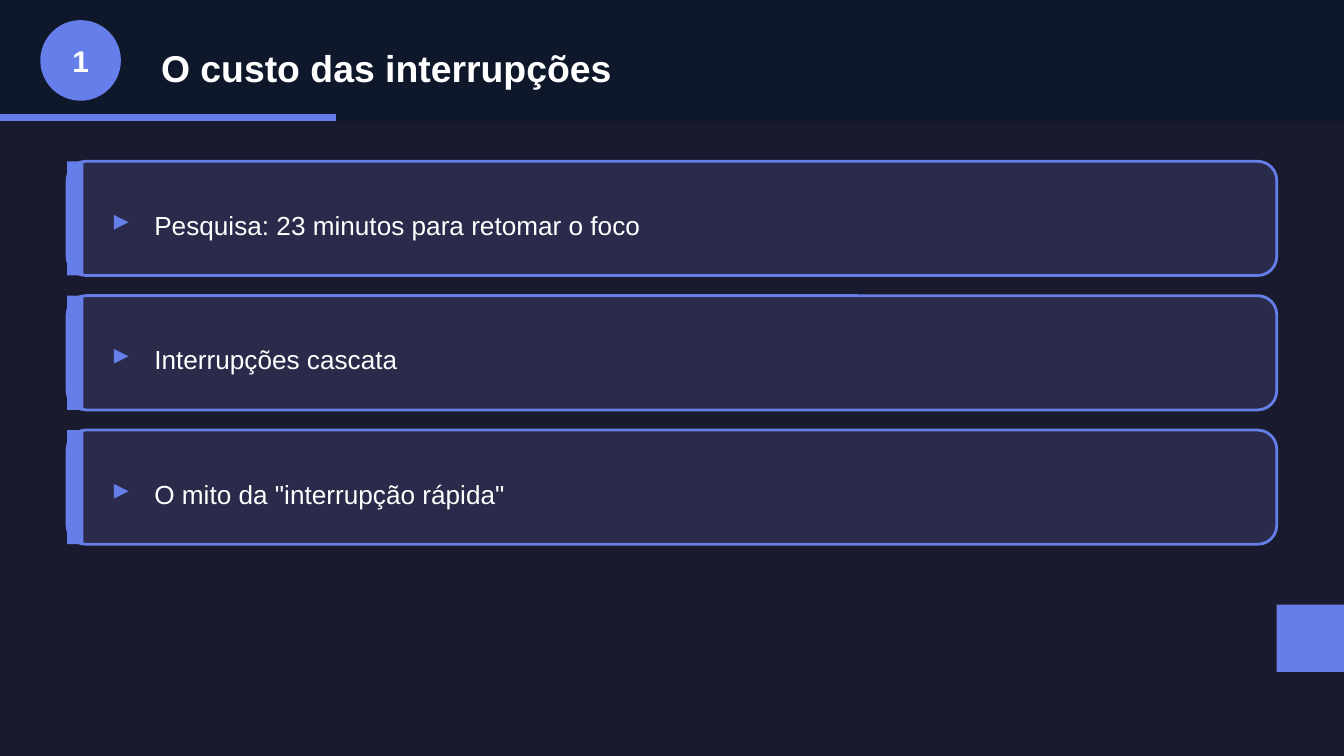
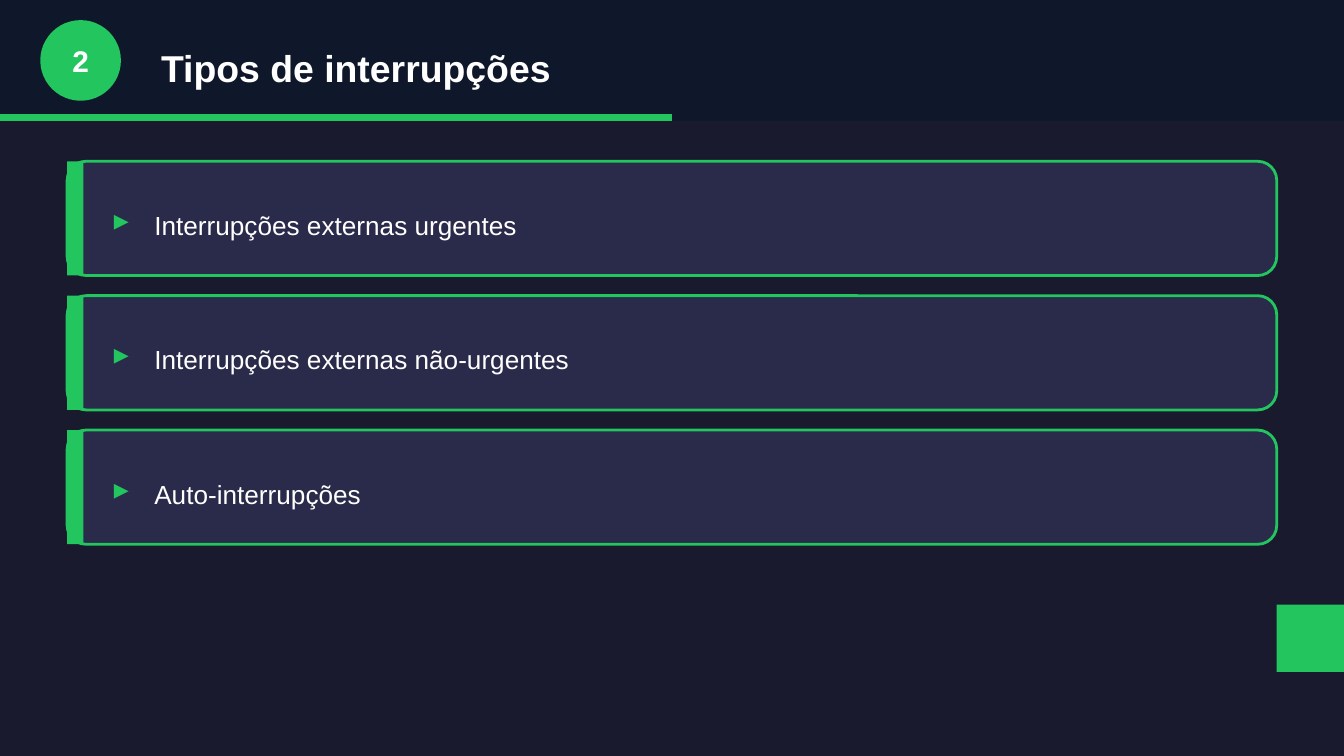
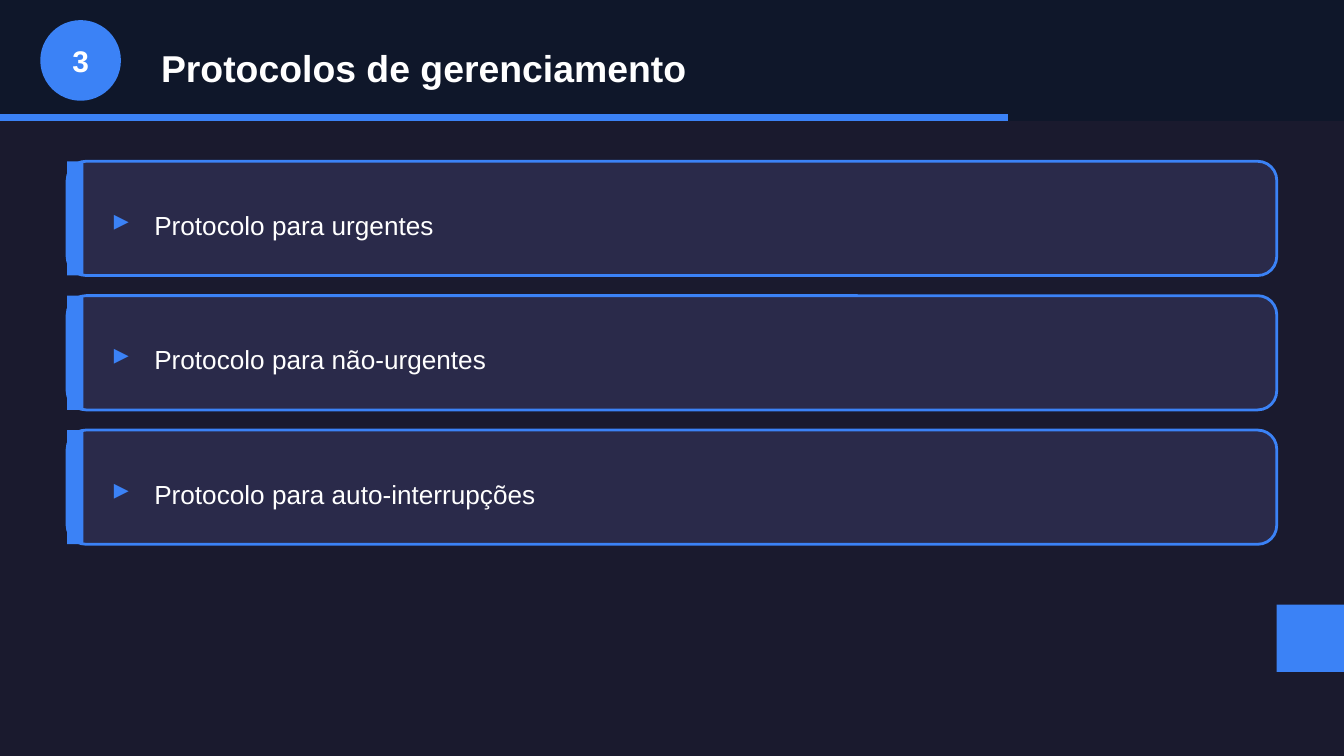
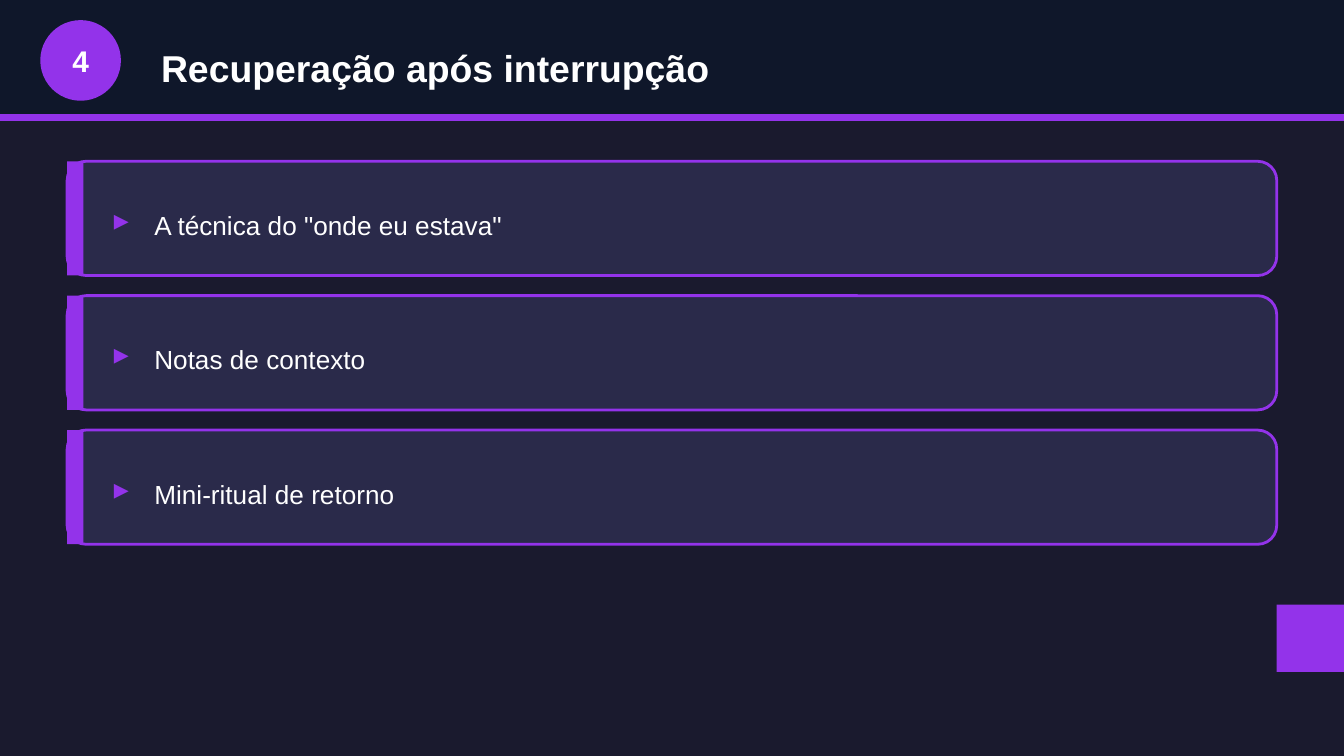
from pptx import Presentation
from pptx.dml.color import RGBColor
from pptx.enum.shapes import MSO_SHAPE
from pptx.enum.text import MSO_ANCHOR, PP_ALIGN
from pptx.util import Inches, Pt

NIGHT = RGBColor(0x1A, 0x1A, 0x2E)
NAVY = RGBColor(0x0F, 0x17, 0x2A)
PANEL = RGBColor(0x2A, 0x2A, 0x4A)
WHITE = RGBColor(0xFF, 0xFF, 0xFF)
INDIGO = RGBColor(0x66, 0x7E, 0xEA)
GREEN = RGBColor(0x22, 0xC5, 0x5E)
BLUE = RGBColor(0x3B, 0x82, 0xF6)
PURPLE = RGBColor(0x93, 0x33, 0xEA)
FONT = "Arial"

# Square grid: 200 columns across the slide, all lengths counted in cells
COLS = 200
WIDTH = Inches(10)
CELL = WIDTH // COLS
HEAD = 18          # header height
EDGE = 10          # side margin
TOP = 24           # first card
STEP = 20          # card to card
CARD = 17          # card height

TOPICS = [
    ("O custo das interrupções", INDIGO,
     ["Pesquisa: 23 minutos para retomar o foco",
      "Interrupções cascata",
      'O mito da "interrupção rápida"']),
    ("Tipos de interrupções", GREEN,
     ["Interrupções externas urgentes",
      "Interrupções externas não-urgentes",
      "Auto-interrupções"]),
    ("Protocolos de gerenciamento", BLUE,
     ["Protocolo para urgentes",
      "Protocolo para não-urgentes",
      "Protocolo para auto-interrupções"]),
    ("Recuperação após interrupção", PURPLE,
     ['A técnica do "onde eu estava"',
      "Notas de contexto",
      "Mini-ritual de retorno"]),
]


def block(slide, kind, cells, fill, line=None):
    """Add a filled shape at (left, top, width, height) in grid cells."""
    shape = slide.shapes.add_shape(kind, *[round(n * CELL) for n in cells])
    shape.shadow.inherit = False
    shape.fill.solid()
    shape.fill.fore_color.rgb = fill
    if line is None:
        shape.line.fill.background()
    else:
        shape.line.color.rgb = line
        shape.line.width = Pt(1.5)


def label(slide, cells, text, size, color=WHITE, bold=True, align=PP_ALIGN.LEFT):
    """Add one line of text, centred vertically in a box given in grid cells."""
    box = slide.shapes.add_textbox(*[round(n * CELL) for n in cells])
    frame = box.text_frame
    frame.word_wrap = True
    frame.vertical_anchor = MSO_ANCHOR.MIDDLE
    para = frame.paragraphs[0]
    para.alignment = align
    run = para.add_run()
    run.text = text
    run.font.name = FONT
    run.font.size = Pt(size)
    run.font.bold = bold
    run.font.color.rgb = color


deck = Presentation()
deck.slide_width = WIDTH
deck.slide_height = WIDTH * 9 // 16
blank = deck.slide_layouts[6]

for num, (title, tint, points) in enumerate(TOPICS, 1):
    slide = deck.slides.add_slide(blank)
    slide.background.fill.solid()
    slide.background.fill.fore_color.rgb = NIGHT

    # Header with progress bar and number
    block(slide, MSO_SHAPE.RECTANGLE, (0, 0, COLS, HEAD), NAVY)
    done = COLS * num / len(TOPICS)
    block(slide, MSO_SHAPE.RECTANGLE, (0, HEAD - 1, done, 1), tint)
    block(slide, MSO_SHAPE.OVAL, (6, 3, 12, 12), tint)
    label(slide, (6, 5, 12, 8), str(num), 16, align=PP_ALIGN.CENTER)
    label(slide, (22, 5, 170, 10), title, 20)

    # Cards
    for row, point in enumerate(points):
        top = TOP + row * STEP
        block(slide, MSO_SHAPE.ROUNDED_RECTANGLE,
              (EDGE, top, COLS - 2 * EDGE, CARD), PANEL, tint)
        block(slide, MSO_SHAPE.RECTANGLE, (EDGE, top, 2.4, CARD), tint)
        label(slide, (15, top + 5, 6, 7), "▸", 16, tint)
        label(slide, (21, top + 5, 164, 9), point, 14, bold=False)

    # Corner accent
    block(slide, MSO_SHAPE.RECTANGLE, (COLS - EDGE, 90, EDGE, EDGE), tint)

deck.save("out.pptx")
